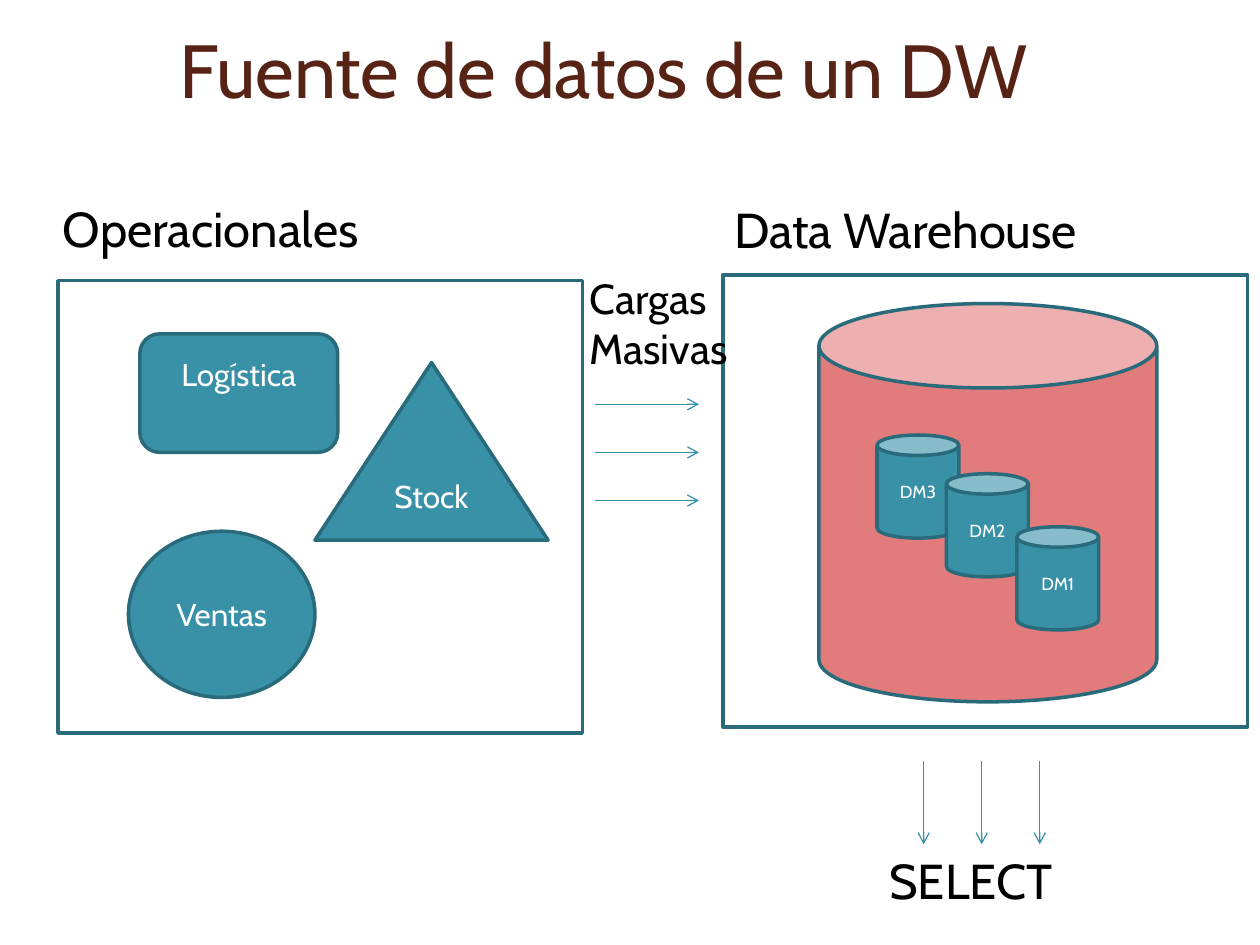
from lxml.etree import SubElement
from pptx import Presentation
from pptx.dml.color import RGBColor
from pptx.enum.shapes import MSO_CONNECTOR, MSO_SHAPE
from pptx.enum.text import MSO_ANCHOR, MSO_AUTO_SIZE, PP_ALIGN
from pptx.oxml.ns import qn
from pptx.util import Cm, Pt

FONT = "Cabin"
TEAL, DARK_TEAL, CORAL = "3891A7", "296B7B", "E17B7C"
BROWN, BLACK, WHITE = "572314", "000000", "FFFFFF"


def color(value):
    return RGBColor.from_string(value)


def write(shape, text, size, ink, align=PP_ALIGN.LEFT, anchor=MSO_ANCHOR.TOP):
    frame = shape.text_frame
    frame.word_wrap = True
    frame.auto_size = MSO_AUTO_SIZE.NONE
    frame.vertical_anchor = anchor
    frame.text = text
    para = frame.paragraphs[0]
    para.alignment = align
    para.font.name = FONT
    para.font.size = Pt(size)
    para.font.color.rgb = color(ink)


def add_label(page, left, top, width, height, text, size):
    box = page.shapes.add_textbox(Cm(left), Cm(top), Cm(width), Cm(height))
    write(box, text, size, BLACK)


def add_figure(page, kind, left, top, width, height, fill, text="", size=18):
    shape = page.shapes.add_shape(kind, Cm(left), Cm(top), Cm(width), Cm(height))
    shape.shadow.inherit = False
    shape.fill.solid()
    shape.fill.fore_color.rgb = color(fill)
    shape.line.color.rgb = color(DARK_TEAL)
    shape.line.width = Pt(2)
    if text:
        write(shape, text, size, WHITE, PP_ALIGN.CENTER, MSO_ANCHOR.MIDDLE)
    return shape


def add_arrow(page, left, top, across, down):
    arrow = page.shapes.add_connector(
        MSO_CONNECTOR.STRAIGHT, Cm(left), Cm(top), Cm(left + across), Cm(top + down))
    arrow.line.color.rgb = color(TEAL)
    arrow.line.width = Pt(0.75)
    SubElement(arrow.line._get_or_add_ln(), qn("a:tailEnd"), type="arrow")
    SubElement(arrow._element.spPr, qn("a:effectLst"))


def place_title(page, left, top, width, height):
    title = page.shapes.title
    title.left, title.top = Cm(left), Cm(top)
    title.width, title.height = Cm(width), Cm(height)
    write(title, "Fuente de datos de un DW", 43, BROWN,
          PP_ALIGN.CENTER, MSO_ANCHOR.MIDDLE)


def place_sources(page, left, top, width, height):
    add_figure(page, MSO_SHAPE.RECTANGLE, left, top, width, height, WHITE)
    logistics = add_figure(page, MSO_SHAPE.ROUNDED_RECTANGLE, left + 1.65, top + 1.07,
                           3.99, 2.39, TEAL, "Logística")
    logistics.text_frame.margin_bottom = Cm(0.9)
    add_figure(page, MSO_SHAPE.ISOSCELES_TRIANGLE, left + 5.18, top + 1.65,
               4.7, 3.58, TEAL, "Stock")
    add_figure(page, MSO_SHAPE.OVAL, left + 1.42, top + 5.05, 3.76, 3.35, TEAL, "Ventas")
    add_label(page, left - 0.15, top - 1.78, 7.21, 1.7, "Operacionales", 28)


def place_warehouse(page, left, top, width, height):
    add_figure(page, MSO_SHAPE.RECTANGLE, left, top, width, height, WHITE)
    add_figure(page, MSO_SHAPE.CAN, left + 1.93, top + 0.58, 6.81, 8.03, CORAL)
    for name, across, down in (("DM3", 3.1, 3.23), ("DM2", 4.5, 4.01), ("DM1", 5.92, 5.08)):
        add_figure(page, MSO_SHAPE.CAN, left + across, top + down,
                   1.65, 2.08, TEAL, name, 10)
    add_label(page, left - 0.03, top - 1.65, 9.27, 1.7, "Data Warehouse", 28)


def place_loads(page, left, top, width, height):
    for row in range(3):
        add_arrow(page, left + 0.36, top + 2.79 + row * 0.97, 2.1, 0)
    add_label(page, left, top, width, height, "Cargas Masivas", 24)


def place_query(page, left, top, width, height):
    drop = 1.68
    for column in range(3):
        add_arrow(page, left + 0.94 + column * 1.17, top, 0, drop)
    add_label(page, left, top + drop, width, height - drop, "SELECT", 28)


def main():
    deck = Presentation()
    deck.slide_width, deck.slide_height = Cm(25.4), Cm(19.05)
    page = deck.slides.add_slide(deck.slide_layouts[5])
    place_title(page, 1.75, 0, 20.83, 2.77)
    place_sources(page, 1.17, 5.66, 10.57, 9.12)
    place_warehouse(page, 14.58, 5.54, 10.57, 9.12)
    place_loads(page, 11.63, 5.36, 3.35, 3.28)
    place_query(page, 17.68, 15.34, 4.17, 2.95)
    deck.save("out.pptx")


if __name__ == "__main__":
    main()
